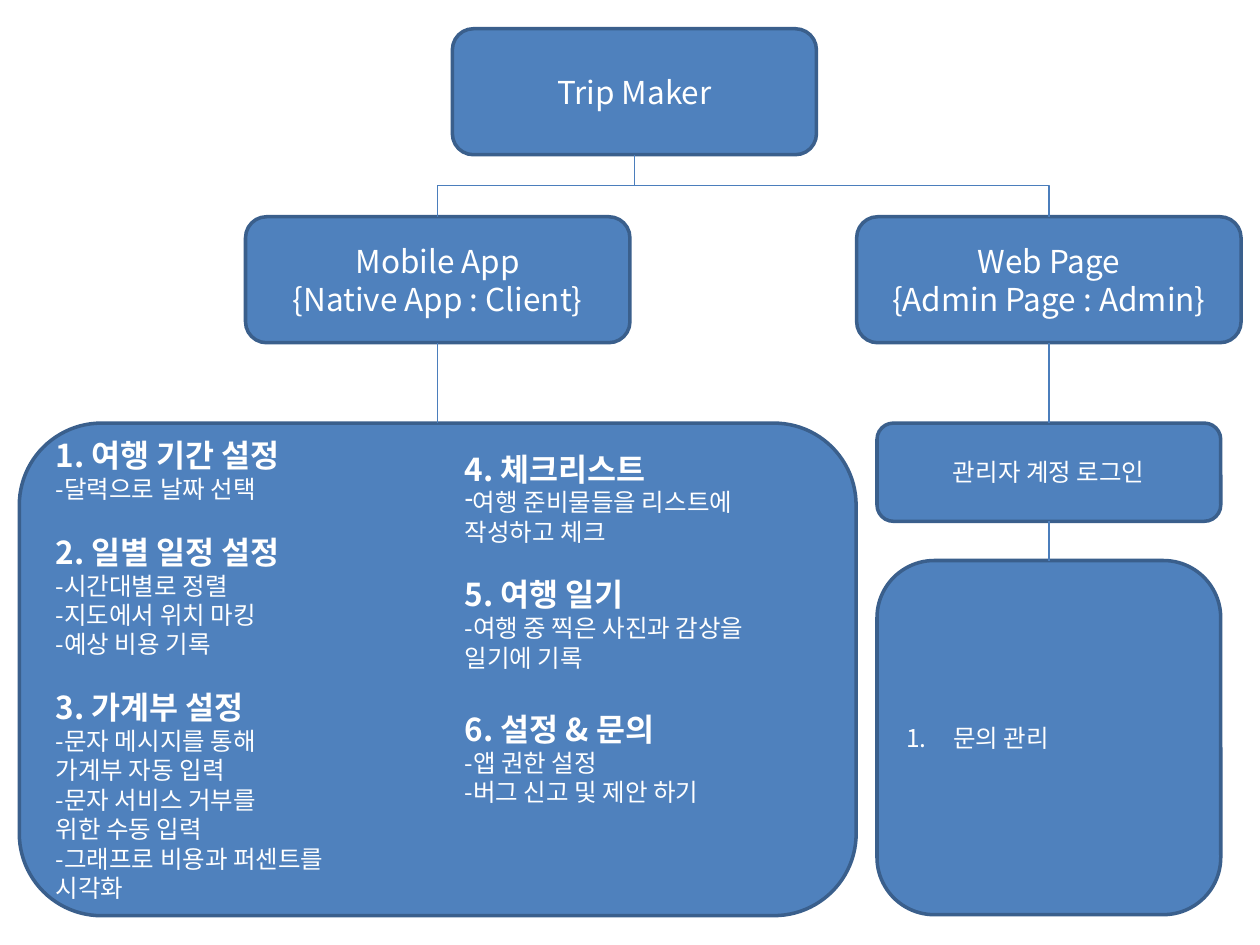
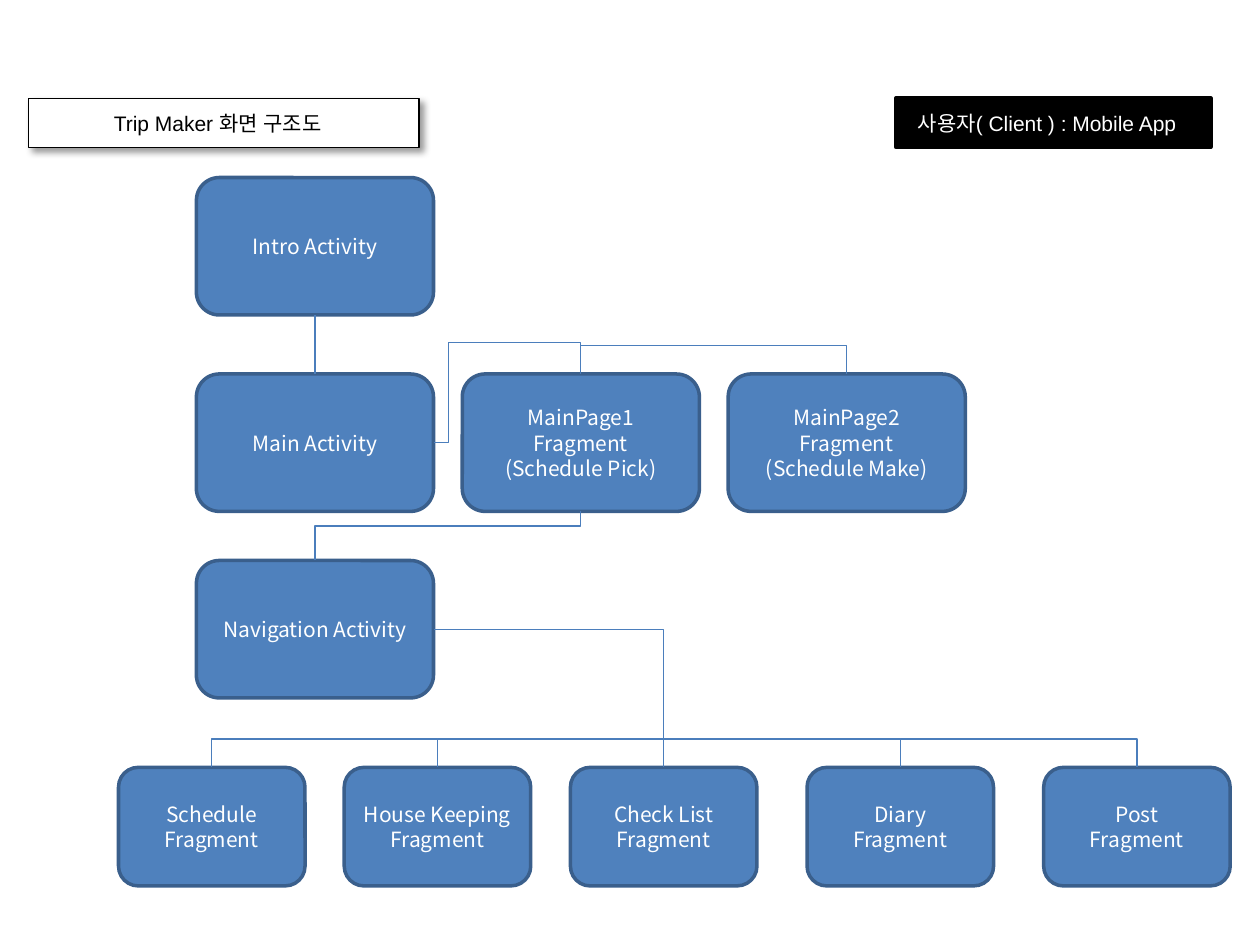
from dataclasses import dataclass

from lxml.etree import SubElement
from pptx import Presentation
from pptx.dml.color import RGBColor
from pptx.enum.shapes import MSO_CONNECTOR, MSO_SHAPE
from pptx.enum.text import MSO_ANCHOR, PP_ALIGN
from pptx.oxml.ns import qn
from pptx.util import Cm, Pt


@dataclass(frozen=True)
class Theme:
    fill: str = "4F81BD"
    outline: str = "3A5F8C"
    link: str = "4B7EBC"
    white: str = "FFFFFF"
    black: str = "000000"
    font: str = "Noto Sans CJK KR"
    label_font: str = "Arial"
    large: int = 18
    medium: int = 14
    small: int = 12
    thick: float = 2
    thin: float = 0.75


@dataclass(frozen=True)
class Box:
    """A rectangle in centimetres."""
    left: float
    top: float
    width: float
    height: float

    def inner(self, left, top, width, height):
        return Box(self.left + left, self.top + top, width, height)

    def lengths(self):
        return [Cm(n) for n in (self.left, self.top, self.width, self.height)]


THEME = Theme()
TOP, LEFT, BOTTOM, RIGHT = range(4)
HANGING = 0.95
LEVEL_DEPTH = 1588  # least depth, in EMU, of a link between boxes on one row


def write(para, text, size=THEME.small, color=THEME.white, font=THEME.font,
          bold=False, align=PP_ALIGN.LEFT, before=0, hanging=0, bullet=None):
    para.alignment = align
    para.space_before = Pt(before)
    props = para._p.get_or_add_pPr()
    props.set("marL", str(Cm(hanging)))
    props.set("indent", str(-Cm(hanging)))
    if bullet == "number":
        SubElement(props, qn("a:buAutoNum"), type="arabicPeriod")
    elif bullet:
        SubElement(props, qn("a:buChar"), char=bullet)
    else:
        SubElement(props, qn("a:buNone"))
    span = para.add_run()
    span.text = text
    span.font.size = Pt(size)
    span.font.bold = bold
    span.font.color.rgb = RGBColor.from_string(color)
    span.font.name = font
    SubElement(span._r.get_or_add_rPr(), qn("a:ea"), typeface=font)


def next_para(frame):
    """Return the first paragraph while it is empty, then new ones."""
    first = frame.paragraphs[0]
    return frame.add_paragraph() if first.runs else first


def add_panel(page, box, kind=MSO_SHAPE.ROUNDED_RECTANGLE, fill=THEME.fill,
              outline=THEME.outline, weight=THEME.thick):
    panel = page.shapes.add_shape(kind, *box.lengths())
    panel.fill.solid()
    panel.fill.fore_color.rgb = RGBColor.from_string(fill)
    panel.line.color.rgb = RGBColor.from_string(outline)
    panel.line.width = Pt(weight)
    panel.shadow.inherit = False
    panel.text_frame.word_wrap = True
    panel.text_frame.vertical_anchor = MSO_ANCHOR.MIDDLE
    return panel


def add_node(page, box, *lines, size=THEME.small):
    node = add_panel(page, box)
    for line in lines:
        write(next_para(node.text_frame), line, size=size, align=PP_ALIGN.CENTER)
    return node


def add_label(page, box, text, fill, color, weight):
    label = add_panel(page, box, MSO_SHAPE.RECTANGLE, fill, THEME.black, weight)
    label.text_frame.margin_left = 0
    write(label.text_frame.paragraphs[0], text, color=color,
          font=THEME.label_font, align=PP_ALIGN.CENTER)
    return label


def add_drop_shadow(shape):
    effects = shape._element.spPr.find(qn("a:effectLst"))
    shadow = SubElement(effects, qn("a:outerShdw"), blurRad=str(Pt(4)),
                        dist=str(Pt(3)), dir="2700000", rotWithShape="0")
    tint = SubElement(shadow, qn("a:srgbClr"), val=THEME.black)
    SubElement(tint, qn("a:alpha"), val="40000")


def join(page, kind, source, source_side, target, target_side):
    link = page.shapes.add_connector(kind, 0, 0, 0, 0)
    link.begin_connect(source, source_side)
    link.end_connect(target, target_side)
    link.line.color.rgb = RGBColor.from_string(THEME.link)
    link.line.width = Pt(THEME.thin)
    SubElement(link._element.spPr, qn("a:effectLst"))
    return link


def join_straight(page, upper, lower):
    return join(page, MSO_CONNECTOR.STRAIGHT, upper, BOTTOM, lower, TOP)


def set_bends(link, preset, *bends):
    """Choose the elbow preset and where it bends, as shares of its box."""
    geometry = link._element.spPr.find(qn("a:prstGeom"))
    geometry.set("prst", preset)
    guides = geometry.get_or_add_avLst()
    for number, bend in enumerate(bends, 1):
        name = "adj1" if len(bends) == 1 else f"adj{number}"
        SubElement(guides, qn("a:gd"), name=name, fmla=f"val {round(bend * 100000)}")


def join_upright(page, source, source_side, target, target_side, bend=0.5):
    """Join with an elbow that leaves and arrives vertically."""
    link = join(page, MSO_CONNECTOR.ELBOW, source, source_side, target, target_side)
    across = link.end_x - link.begin_x
    down = link.end_y - link.begin_y
    middle_x = (link.begin_x + link.end_x) // 2
    middle_y = (link.begin_y + link.end_y) // 2
    rightward, upward = across > 0, down <= 0
    link.width, link.height = max(abs(down), LEVEL_DEPTH), abs(across)
    link.left = middle_x - link.width // 2
    link.top = middle_y - link.height // 2
    frame = link._element.spPr.find(qn("a:xfrm"))
    frame.set("rot", "5400000" if rightward == upward else "16200000")
    frame.set("flipH", str(int(rightward)))
    frame.set("flipV", str(int(upward)))
    set_bends(link, "bentConnector3", bend)


def join_level(page, first, second):
    """Join the tops of two boxes on one row by a line above them."""
    join_upright(page, first, TOP, second, TOP, Cm(0.63) / LEVEL_DEPTH)


def write_features(frame, features, hanging=0):
    """Each feature is a heading, the space before it and its detail lines."""
    for heading, before, details in features:
        write(next_para(frame), heading, size=THEME.large, bold=True,
              before=before, hanging=hanging)
        for detail in details:
            bullet, text = detail if isinstance(detail, tuple) else (None, detail)
            write(next_para(frame), text, size=THEME.medium,
                  hanging=hanging, bullet=bullet)


PLANNING = [
    ("1. 여행 기간 설정", 0, ["-달력으로 날짜 선택"]),
    ("2. 일별 일정 설정", 16.7,
     ["-시간대별로 정렬", "-지도에서 위치 마킹", "-예상 비용 기록"]),
    ("3. 가계부 설정", 16.7,
     ["-문자 메시지를 통해", "가계부 자동 입력", "-문자 서비스 거부를",
      "위한 수동 입력", "-그래프로 비용과 퍼센트를", "시각화"]),
]
RECORDING = [
    ("4. 체크리스트", 0, [("-", "여행 준비물들을 리스트에"), "작성하고 체크"]),
    ("5. 여행 일기", 16.7, ["-여행 중 찍은 사진과 감상을 일기에 기록"]),
    ("6. 설정 & 문의", 21.5, ["-앱 권한 설정", "-버그 신고 및 제안 하기"]),
]


def add_feature_panel(page, box):
    panel = add_panel(page, box)
    write_features(panel.text_frame, PLANNING, HANGING)
    column = page.shapes.add_textbox(*box.inner(8.73, 0.41, 6.76, 7.52).lengths())
    column.text_frame.word_wrap = True
    write_features(column.text_frame, RECORDING)
    return panel


def add_admin_column(page, box):
    login = add_node(page, box.inner(0, 0, box.width, 1.98),
                     "관리자 계정 로그인", size=THEME.medium)
    inquiries = add_panel(page, box.inner(0, 2.77, box.width, 7.14))
    write(inquiries.text_frame.paragraphs[0], "문의 관리", size=THEME.medium,
          hanging=HANGING, bullet="number")
    join_straight(page, login, inquiries)
    return login


def build_overview(page, box):
    root = add_node(page, box.inner(9.12, 0.58, 7.34, 2.54),
                    "Trip Maker", size=THEME.large)
    app, web = [
        add_node(page, box.inner(left, 4.37, 7.75, 2.54), *lines, size=THEME.large)
        for left, lines in [(4.95, ("Mobile App", "{Native App : Client}")),
                            (17.27, ("Web Page", "{Admin Page : Admin}"))]
    ]
    features = add_feature_panel(page, box.inner(0.39, 8.53, 16.87, 9.93))
    login = add_admin_column(page, box.inner(17.68, 8.53, 6.93, 9.91))
    for branch, detail in [(app, features), (web, login)]:
        join_upright(page, root, BOTTOM, branch, TOP)
        join_straight(page, branch, detail)


def add_header(page, box):
    title = add_label(page, box.inner(0, 0, 7.87, box.height),
                      "Trip Maker 화면 구조도", THEME.white, THEME.black, THEME.thin)
    add_drop_shadow(title)
    add_label(page, box.inner(box.width - 6.35, 0, 6.35, box.height),
              "사용자( Client ) : Mobile App", THEME.black, THEME.white, THEME.thick)


def add_activities(page, box):
    """Place the activities and main pages, and return the navigation box."""
    def place(column, top, *lines):
        return add_node(page, box.inner(column * 5.36, top, 4.78, 2.77), *lines)

    intro = place(0, 0, "Intro Activity")
    main = place(0, 3.96, "Main Activity")
    pick = place(1, 3.96, "MainPage1 Fragment", "(Schedule Pick)")
    make = place(2, 3.96, "MainPage2 Fragment", "(Schedule Make)")
    navigation = place(0, 7.72, "Navigation Activity")
    join_straight(page, intro, main)
    link = join(page, MSO_CONNECTOR.ELBOW, main, RIGHT, pick, TOP)
    set_bends(link, "bentConnector4", 0.1, 1.46)
    join_level(page, pick, make)
    join_upright(page, navigation, TOP, pick, BOTTOM, 0.7)
    return navigation


def add_fragments(page, box):
    """Place the row of fragments and return its middle box."""
    row = [
        add_node(page, box.inner(left, 0, 3.76, box.height), *lines)
        for left, lines in [(0, ("Schedule", "Fragment")),
                            (4.55, ("House Keeping Fragment",)),
                            (9.11, ("Check List", "Fragment")),
                            (13.88, ("Diary", "Fragment")),
                            (18.65, ("Post", "Fragment"))]
    ]
    for first, second in [(2, 1), (1, 0), (2, 3), (3, 4)]:
        join_level(page, row[first], row[second])
    return row[2]


def build_screen_map(page, box):
    add_header(page, box.inner(0.58, 1.98, 23.83, 0.99))
    navigation = add_activities(page, box.inner(3.96, 3.58, 15.5, 10.49))
    check_list = add_fragments(page, box.inner(2.39, 15.47, 22.41, 2.39))
    link = join(page, MSO_CONNECTOR.ELBOW, navigation, RIGHT, check_list, TOP)
    set_bends(link, "bentConnector2")


def main():
    deck = Presentation()
    whole = Box(0, 0, 25.4, 19.05)
    deck.slide_width, deck.slide_height = Cm(whole.width), Cm(whole.height)
    for build in (build_overview, build_screen_map):
        build(deck.slides.add_slide(deck.slide_layouts[6]), whole)
    deck.save("out.pptx")


if __name__ == "__main__":
    main()
